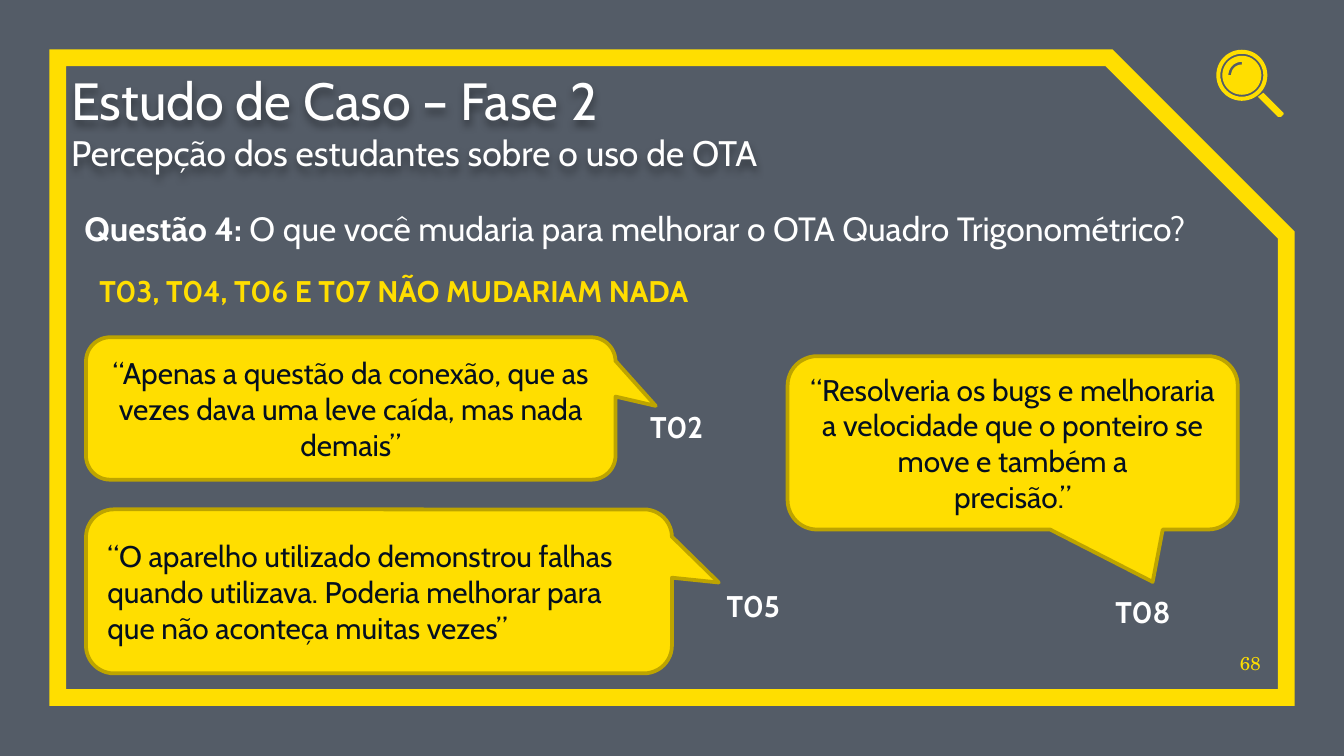
import math
from dataclasses import dataclass

import pptx
import pptx.dml.color
import pptx.enum.shapes
import pptx.enum.text
import pptx.oxml
import pptx.oxml.ns
import pptx.util

Inches = pptx.util.Inches
Pt = pptx.util.Pt
Shape = pptx.enum.shapes.MSO_SHAPE
Align = pptx.enum.text.PP_ALIGN
Anchor = pptx.enum.text.MSO_ANCHOR
AutoSize = pptx.enum.text.MSO_AUTO_SIZE


@dataclass(frozen=True)
class Theme:
    font: str = "Cabin"
    number_font: str = "TeX Gyre Schola"
    dark: str = "040F20"
    yellow: str = "FFDE00"
    outline: str = "BDA400"
    white: str = "FFFFFF"
    title: int = 28
    subtitle: int = 19
    question: int = 18
    body: int = 16
    number: int = 10


THEME = Theme()


def rgb(color):
    return pptx.dml.color.RGBColor.from_string(color)


def append_xml(parent, tag, attributes="", content=""):
    namespace = pptx.oxml.ns.nsdecls("a")
    xml = f"<a:{tag} {namespace} {attributes}>{content}</a:{tag}>"
    parent.append(pptx.oxml.parse_xml(xml))


def find_property(shape, tag):
    return shape.element.spPr.find(".//" + pptx.oxml.ns.qn(tag))


def style_shape(shape, fill=None, line=None, width=0):
    shape.shadow.inherit = False
    if fill:
        shape.fill.solid()
        shape.fill.fore_color.rgb = rgb(fill)
    else:
        shape.fill.background()
    if line:
        shape.line.color.rgb = rgb(line)
        shape.line.width = Pt(width)
    else:
        shape.line.fill.background()


def add_shape(slide, kind, box, adjustments=(), **style):
    shape = slide.shapes.add_shape(kind, *map(Inches, box))
    for index, value in enumerate(adjustments):
        shape.adjustments[index] = value
    style_shape(shape, **style)
    return shape


def write_paragraph(paragraph, parts, size, color, font=THEME.font, align=Align.LEFT):
    paragraph.alignment = align
    for text, bold in parts:
        run = paragraph.add_run()
        run.text = text
        run.font.name = font
        run.font.size = Pt(size)
        run.font.bold = bold
        run.font.color.rgb = rgb(color)


def add_text(slide, box, lines, color, inset=True, **style):
    text_box = slide.shapes.add_textbox(*map(Inches, box))
    frame = text_box.text_frame
    frame.word_wrap = True
    if inset:
        frame.auto_size = AutoSize.SHAPE_TO_FIT_TEXT
    else:
        frame.vertical_anchor = Anchor.BOTTOM
        frame.margin_left = frame.margin_right = 0
        frame.margin_top = frame.margin_bottom = 0
    for index, (parts, size) in enumerate(lines):
        paragraph = frame.add_paragraph() if index else frame.paragraphs[0]
        write_paragraph(paragraph, parts, size, color, **style)
    return text_box


def add_callout(slide, box, pointer, lines, align):
    callout = add_shape(slide, Shape.ROUNDED_RECTANGULAR_CALLOUT, box, (*pointer, 0.17),
                        fill=THEME.yellow, line=THEME.outline, width=2)
    frame = callout.text_frame
    frame.word_wrap = True
    frame.vertical_anchor = Anchor.MIDDLE
    for index, line in enumerate(lines):
        paragraph = frame.add_paragraph() if index else frame.paragraphs[0]
        write_paragraph(paragraph, [(line, False)], THEME.body, THEME.dark, align=align)


def arc_points(center, radius, start=0, end=360, steps=48):
    angles = [math.radians(start + (end - start) * step / steps) for step in range(steps + 1)]
    return [(center[0] + radius * math.cos(angle), center[1] + radius * math.sin(angle))
            for angle in angles]


def add_outline(slide, *contours):
    builder = None
    for contour in contours:
        points = [(Inches(x), Inches(y)) for x, y in contour]
        if builder is None:
            builder = slide.shapes.build_freeform(*points[0], scale=1.0)
        else:
            builder.move_to(*points[0])
        builder.add_line_segments(points[1:], close=True)
    style_shape(builder.convert_to_shape(), fill=THEME.yellow)


def add_magnifier(slide):
    center = (9.24, 0.56)
    glare = arc_points(center, 0.1, 180, 270, 12) + arc_points(center, 0.08, 270, 180, 12)
    handle = [(9.4, 0.69), (9.36, 0.72), (9.51, 0.87), (9.53, 0.87), (9.55, 0.85), (9.55, 0.84)]
    add_outline(slide, arc_points(center, 0.19), arc_points(center, 0.16))
    add_outline(slide, arc_points(center, 0.145), glare)
    add_outline(slide, handle)


def add_backdrop(slide, width, height):
    backdrop = add_shape(slide, Shape.RECTANGLE, (0, 0, width.inches, height.inches),
                         fill=THEME.dark)
    append_xml(find_property(backdrop, "a:srgbClr"), "alpha", 'val="68000"')
    frame = add_shape(slide, Shape.SNIP_1_RECTANGLE, (0.43, 0.43, 9.14, 4.76), (0.277,),
                      line=THEME.yellow, width=9)
    append_xml(find_property(frame, "a:ln"), "miter", 'lim="800000"')


def add_title(slide):
    title = add_text(slide, (0.53, 0.54, 8.41, 0.75), [
        ([("Estudo de Caso – Fase 2", False)], THEME.title),
        ([("Percepção dos estudantes sobre o uso de OTA", False)], THEME.subtitle),
    ], THEME.white, inset=False)
    shadow = ('<a:outerShdw blurRad="50800" dist="38100" dir="5400000">'
              '<a:srgbClr val="000000"><a:alpha val="40000"/></a:srgbClr></a:outerShdw>')
    append_xml(title.element.spPr, "effectLst", content=shadow)


def main():
    width = Inches(10)
    height = pptx.util.Emu(width * 9 // 16)
    presentation = pptx.Presentation()
    presentation.slide_width = width
    presentation.slide_height = height
    slide = presentation.slides.add_slide(presentation.slide_layouts[6])

    add_backdrop(slide, width, height)
    add_text(slide, (9.11, 4.74, 0.27, 0.28), [([("68", False)], THEME.number)],
             THEME.yellow, inset=False, font=THEME.number_font, align=Align.RIGHT)
    add_magnifier(slide)
    add_title(slide)

    question = [
        ("Questão 4: ", True),
        ("O que você mudaria para melhorar o OTA Quadro Trigonométrico?", False),
    ]
    add_text(slide, (0.53, 1.5, 9.02, 0.4), [(question, THEME.question)], THEME.white)
    add_text(slide, (0.64, 1.98, 4.88, 0.37),
             [([("T03, T04, T06 E T07 NÃO MUDARIAM NADA", True)], THEME.body)], THEME.yellow)

    callouts = [
        ((0.64, 2.51, 3.94, 1.06), (0.576, -0.018), Align.CENTER,
         ["“Apenas a questão da conexão, que as vezes dava uma leve caída, mas nada demais”"]),
        ((5.86, 2.65, 3.35, 1.29), (0.311, 0.802), Align.CENTER,
         ["“Resolveria os bugs e melhoraria a velocidade que o ponteiro se move e também a",
          "precisão.”"]),
        ((0.64, 3.79, 4.36, 1.22), (0.58, -0.054), Align.LEFT,
         ["“O aparelho utilizado demonstrou falhas quando utilizava. "
          "Poderia melhorar para que não aconteça muitas vezes”"]),
    ]
    for box, pointer, align, lines in callouts:
        add_callout(slide, box, pointer, lines, align)

    for student, left, top in [("T02", 4.72, 2.99), ("T08", 8.19, 4.37), ("T05", 5.29, 4.32)]:
        add_text(slide, (left, top, 0.63, 0.37), [([(student, True)], THEME.body)],
                 THEME.white, align=Align.CENTER)

    presentation.save("out.pptx")


if __name__ == "__main__":
    main()
